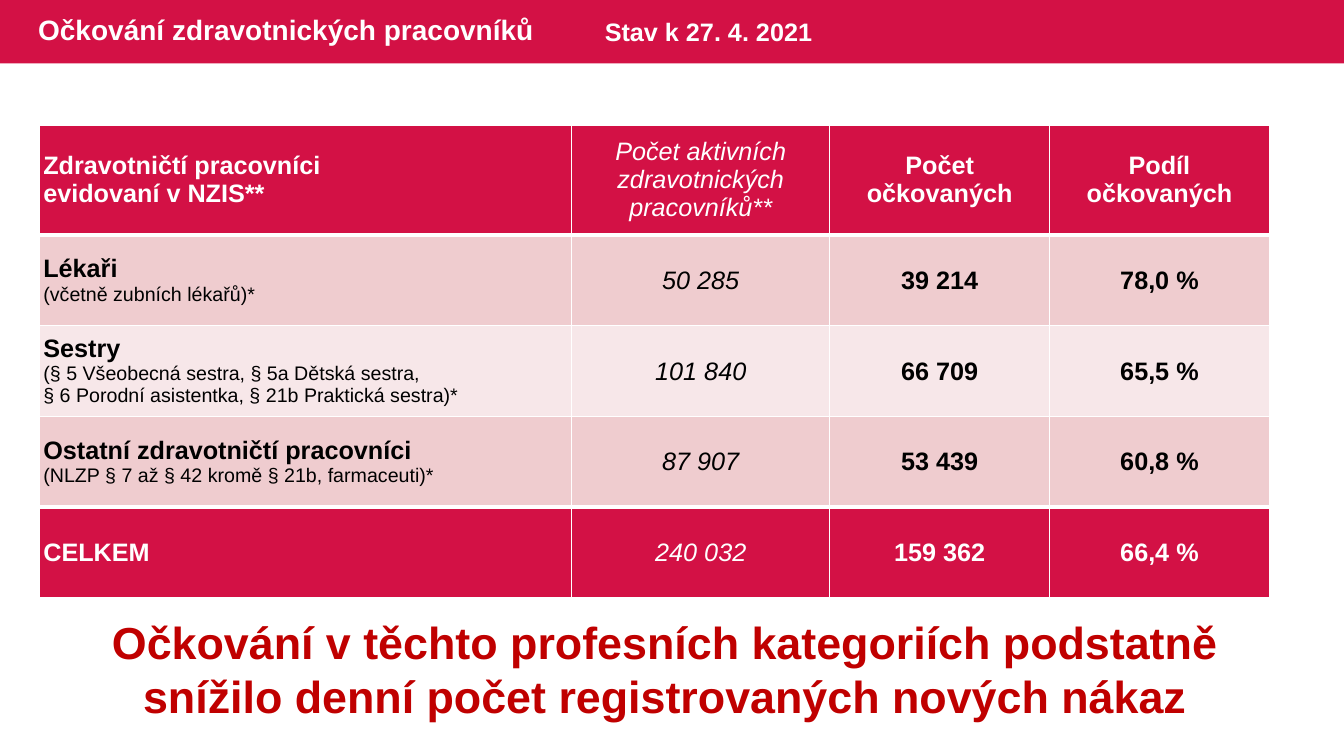
from dataclasses import dataclass

from lxml.etree import SubElement
from pptx import Presentation
from pptx.dml.color import RGBColor as RGB
from pptx.enum.shapes import MSO_SHAPE as Shape
from pptx.enum.text import MSO_ANCHOR as Anchor, PP_ALIGN as Align
from pptx.oxml.ns import qn
from pptx.util import Inches, Pt


@dataclass(frozen=True)
class Theme:
    font: str = "Arial"
    crimson: RGB = RGB(0xD3, 0x11, 0x45)
    band_dark: RGB = RGB(0xEF, 0xCC, 0xCF)
    band_light: RGB = RGB(0xF7, 0xE7, 0xE9)
    message: RGB = RGB(0xC0, 0x00, 0x00)
    white: RGB = RGB(0xFF, 0xFF, 0xFF)
    black: RGB = RGB(0x00, 0x00, 0x00)
    title_size: int = 20
    body_size: int = 18
    detail_size: int = 14
    message_size: int = 32
    thin: int = 1
    thick: int = 3


THEME = Theme()
SLIDE_WIDTH, SLIDE_HEIGHT = 13.33, 7.5
COLUMN_WIDTHS = [5.28, 2.56, 2.18, 2.18]
ROW_HEIGHTS = [1.09, 0.9, 0.9, 0.9, 0.9]

# Each row: lines of the label, then active staff, vaccinated, share
STAFF_ROWS = [
    (["Zdravotničtí pracovníci", "evidovaní v NZIS**"],
     "Počet aktivních zdravotnických pracovníků**",
     "Počet očkovaných", "Podíl očkovaných"),
    (["Lékaři", "(včetně zubních lékařů)*"], "50 285", "39 214", "78,0 %"),
    (["Sestry", "(§ 5 Všeobecná sestra, § 5a Dětská sestra,",
      "§ 6 Porodní asistentka, § 21b Praktická sestra)*"],
     "101 840", "66 709", "65,5 %"),
    (["Ostatní zdravotničtí pracovníci",
      "(NLZP § 7 až § 42 kromě § 21b, farmaceuti)*"],
     "87 907", "53 439", "60,8 %"),
    (["CELKEM"], "240 032", "159 362", "66,4 %"),
]


def style(paragraph, size, color, bold=True, italic=False, align=Align.LEFT):
    paragraph.alignment = align
    font = paragraph.font
    font.name, font.size = THEME.font, Pt(size)
    font.bold, font.italic = bold, italic
    font.color.rgb = color


def add_text(slide, box, text, size, color, align=Align.LEFT, anchor=Anchor.TOP):
    frame = slide.shapes.add_textbox(*map(Inches, box)).text_frame
    frame.word_wrap = True
    frame.vertical_anchor = anchor
    paragraph = frame.paragraphs[0]
    paragraph.text = text
    style(paragraph, size, color, align=align)
    return paragraph


def add_header(slide, left, top, width, height):
    """Crimson band with the title and the date."""
    band = slide.shapes.add_shape(
        Shape.RECTANGLE, *map(Inches, (left, top, width, height)))
    band.shadow.inherit = False
    band.fill.solid()
    band.fill.fore_color.rgb = THEME.crimson
    band.line.fill.background()

    title = add_text(slide, (left + 0.28, top, 5.6, height),
                     "Očkování zdravotnických pracovníků",
                     THEME.title_size, THEME.white, anchor=Anchor.MIDDLE)
    title.line_spacing = 0.9
    add_text(slide, (left + 5.9, top + 0.11, 2.96, 0.4),
             "Stav k 27. 4. 2021", THEME.body_size, THEME.white)


def set_borders(cell, top, bottom):
    properties = cell._tc.get_or_add_tcPr()
    widths = {"a:lnL": THEME.thin, "a:lnR": THEME.thin,
              "a:lnT": top, "a:lnB": bottom}
    for side, points in widths.items():
        line = SubElement(properties, qn(side), w=str(Pt(points)))
        fill = SubElement(line, qn("a:solidFill"))
        SubElement(fill, qn("a:srgbClr"), val=str(THEME.white))


def fill_cell(cell, lines, row, column):
    last = len(STAFF_ROWS) - 1
    accent = row in (0, last)
    is_label = column == 0

    # Thick rules below the header and above the total
    set_borders(cell,
                THEME.thick if row in (1, last) else THEME.thin,
                THEME.thick if row in (0, last - 1) else THEME.thin)
    cell.fill.solid()
    cell.fill.fore_color.rgb = (
        THEME.crimson if accent
        else THEME.band_dark if row % 2 else THEME.band_light)

    side_margin = 0.04 if is_label or row == 0 else 0.01
    cell.margin_left = cell.margin_right = Inches(side_margin)
    cell.margin_top = Inches(0 if is_label or row == 0 else 0.01)
    cell.margin_bottom = 0
    cell.vertical_anchor = Anchor.MIDDLE

    cell.text = "\n".join(lines)
    for number, paragraph in enumerate(cell.text_frame.paragraphs):
        is_detail = number > 0 and not accent
        style(paragraph,
              THEME.detail_size if is_detail else THEME.body_size,
              THEME.white if accent else THEME.black,
              bold=not is_detail and column != 1,
              italic=column == 1,
              align=Align.LEFT if is_label else Align.CENTER)


def add_staff_table(slide, left, top):
    """Vaccination counts by profession."""
    box = (left, top, sum(COLUMN_WIDTHS), sum(ROW_HEIGHTS))
    table = slide.shapes.add_table(
        len(ROW_HEIGHTS), len(COLUMN_WIDTHS), *map(Inches, box)).table
    for column, width in zip(table.columns, COLUMN_WIDTHS):
        column.width = Inches(width)
    for row, height in zip(table.rows, ROW_HEIGHTS):
        row.height = Inches(height)
    for r, (label, *values) in enumerate(STAFF_ROWS):
        for c, lines in enumerate([label, *([value] for value in values)]):
            fill_cell(table.cell(r, c), lines, r, c)


def add_message(slide, left, top, width, height):
    """Closing statement under the table."""
    add_text(slide, (left, top, width, height),
             "Očkování v těchto profesních kategoriích podstatně "
             "snížilo denní počet registrovaných nových nákaz",
             THEME.message_size, THEME.message, align=Align.CENTER)


def main():
    deck = Presentation()
    deck.slide_width, deck.slide_height = Inches(SLIDE_WIDTH), Inches(SLIDE_HEIGHT)
    slide = deck.slides.add_slide(deck.slide_layouts[6])
    add_header(slide, 0, 0, SLIDE_WIDTH, 0.63)
    add_staff_table(slide, 0.39, 1.24)
    add_message(slide, 0.48, 6.05, 12.24, 1.18)
    deck.save("out.pptx")


if __name__ == "__main__":
    main()
